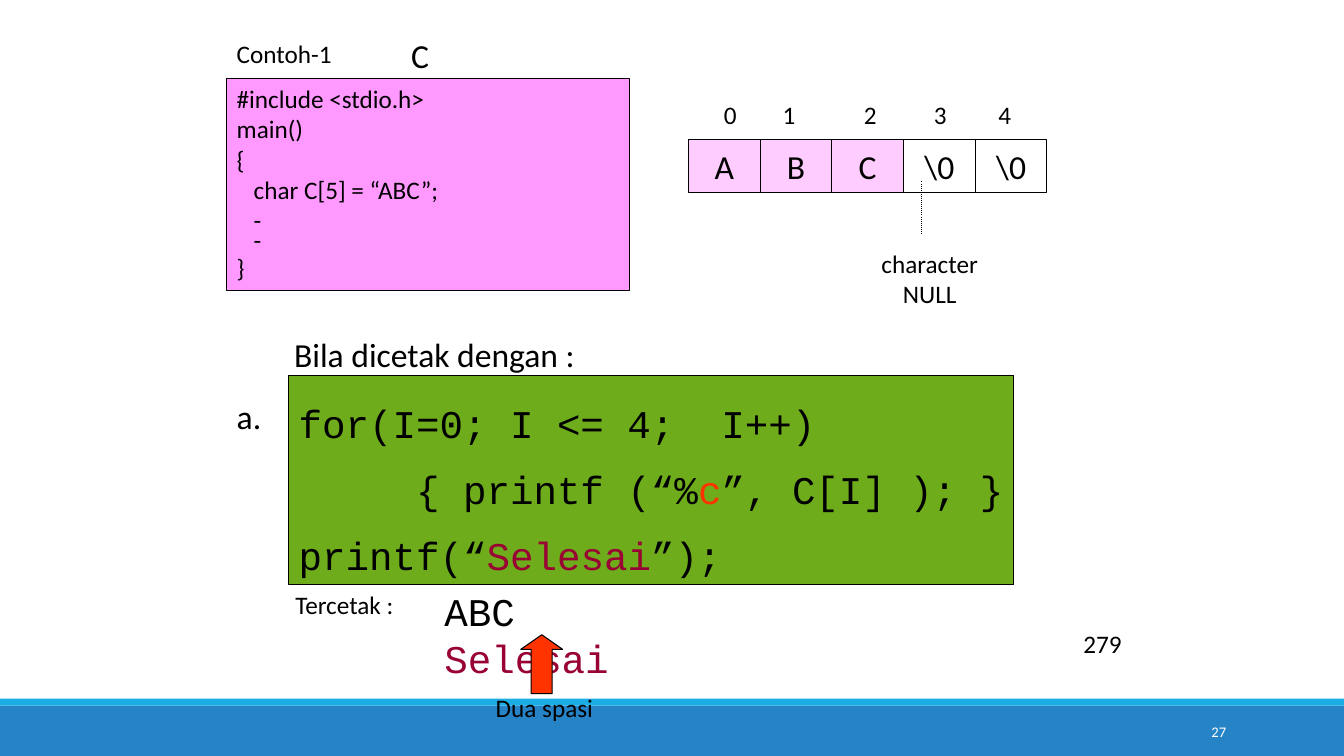
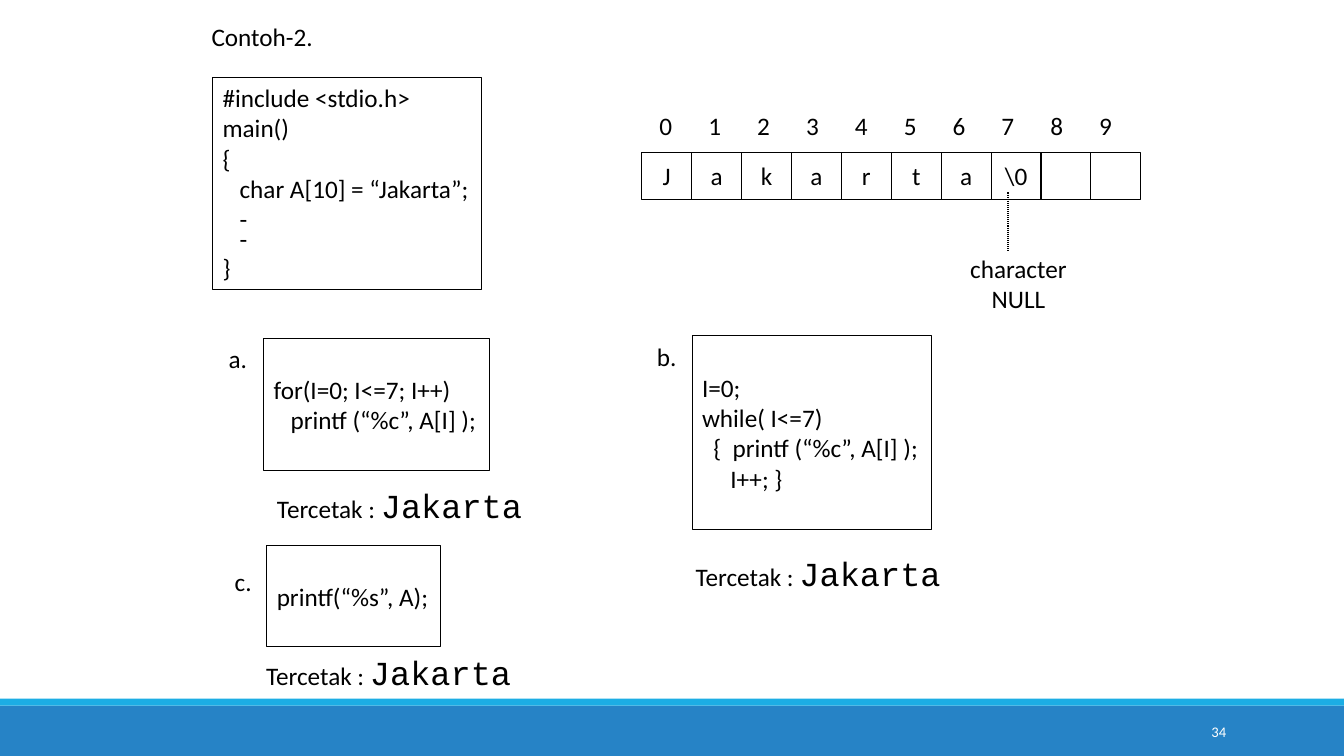
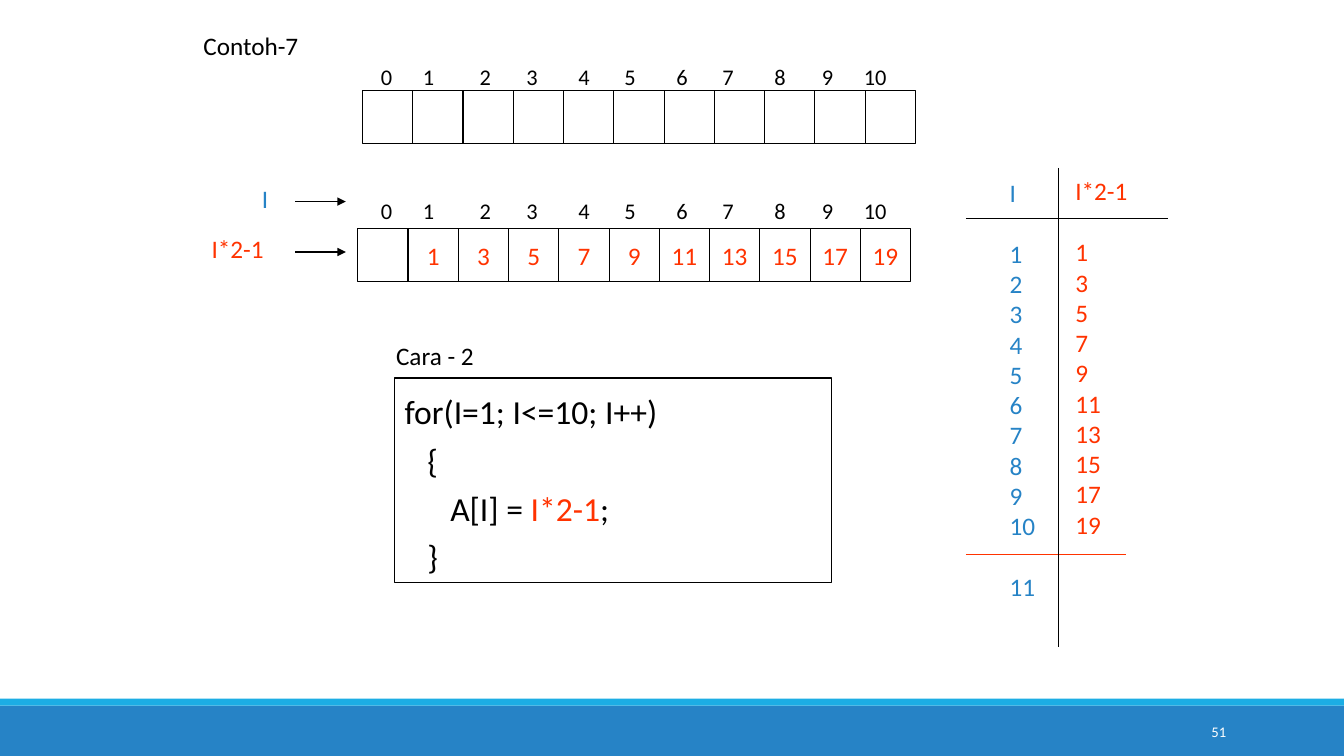
import dataclasses

import lxml.etree
import pptx
import pptx.dml.color
import pptx.enum.dml
import pptx.enum.shapes
import pptx.enum.text
import pptx.oxml.ns
import pptx.util

Pt = pptx.util.Pt
RGB = pptx.dml.color.RGBColor.from_string
ALIGN = pptx.enum.text.PP_ALIGN
ANCHOR = pptx.enum.text.MSO_ANCHOR
PRESET = pptx.enum.shapes.MSO_SHAPE
qn = pptx.oxml.ns.qn


@dataclasses.dataclass(frozen=True)
class Theme:
    ink: str = "000000"
    white: str = "FFFFFF"
    blue: str = "2683C6"
    cyan: str = "1CADE4"
    pink: str = "FF99FF"
    pale_pink: str = "FFCCFF"
    green: str = "6EAC1C"
    red: str = "FF3300"
    maroon: str = "990033"
    body_font: str = "Calibri"
    code_font: str = "Courier New"
    page_size: float = 10.5
    index_size: float = 16
    body_size: float = 18
    large_size: float = 24
    code_size: float = 28
    hairline: float = 0.75


theme = Theme()


def write(slide, text, left, top, width, height, *, size=theme.body_size,
          font=theme.body_font, color=theme.ink, align=ALIGN.LEFT, anchor=ANCHOR.TOP,
          wrap=False, preset=None, fill=None, outline=True, leading=None, before=None,
          tabs=()):
    """Put text in a text box, or in a preset shape.

    text is a string of lines, or a list of paragraphs made of (text, format) runs.
    leading and before map a paragraph number to line spacing and space before.
    """
    box = [Pt(length) for length in (left, top, width, height)]
    if preset is None:
        shape = slide.shapes.add_textbox(*box)
    else:
        shape = slide.shapes.add_shape(preset, *box)
        shape.shadow.inherit = False
        if fill:
            shape.fill.solid()
            shape.fill.fore_color.rgb = RGB(fill)
        else:
            shape.fill.background()
        if outline:
            shape.line.color.rgb = RGB(theme.ink)
            shape.line.width = Pt(theme.hairline)
        else:
            shape.line.fill.background()
    frame = shape.text_frame
    frame.word_wrap = wrap
    frame.vertical_anchor = anchor
    lines = text.split("\n") if isinstance(text, str) else text
    for number, line in enumerate(lines):
        paragraph = frame.add_paragraph() if number else frame.paragraphs[0]
        paragraph.alignment = align
        if leading and number in leading:
            paragraph.line_spacing = leading[number]
        if before and number in before:
            paragraph.space_before = Pt(before[number])
        if tabs:
            properties = paragraph._p.get_or_add_pPr()
            stops = lxml.etree.SubElement(properties, qn("a:tabLst"))
            for position in tabs:
                lxml.etree.SubElement(stops, qn("a:tab"), pos=str(Pt(position)), algn="l")
        for words, style in [(line, {})] if isinstance(line, str) else line:
            if words:
                run = paragraph.add_run()
                run.text = words
                run.font.name = style.get("font", font)
                run.font.size = Pt(style.get("size", size))
                run.font.color.rgb = RGB(style.get("color", color))
    return shape


def draw_line(slide, x1, y1, x2, y2, *, color=theme.ink, dotted=False, arrow=False):
    line = slide.shapes.add_connector(
        pptx.enum.shapes.MSO_CONNECTOR.STRAIGHT, Pt(x1), Pt(y1), Pt(x2), Pt(y2))
    line.line.color.rgb = RGB(color)
    line.line.width = Pt(theme.hairline)
    if dotted:
        line.line.dash_style = pptx.enum.dml.MSO_LINE.ROUND_DOT
    properties = line.element.spPr
    if arrow:
        lxml.etree.SubElement(properties.find(qn("a:ln")), qn("a:tailEnd"), type="triangle")
    lxml.etree.SubElement(properties, qn("a:effectLst"))


prs = pptx.Presentation()
prs.slide_width, prs.slide_height = Pt(960), Pt(540)
blank = prs.slide_layouts[6]
example_1, example_2, example_7 = [prs.slides.add_slide(blank) for _ in range(3)]

# Footer bands, moved to the master
master_tree = prs.slide_master.element.cSld.spTree
for place, (top, height, color) in enumerate([(504, 36, theme.blue), (499, 5, theme.cyan)]):
    band = write(example_1, "", 0, top, 960, height, preset=PRESET.RECTANGLE,
                 fill=color, outline=False)
    band.element.nvSpPr.cNvPr.set("id", str(100 + place))
    master_tree.insert(2 + place, band.element)

# Page numbers
for slide, page in [(example_1, "27"), (example_2, "34"), (example_7, "51")]:
    write(slide, page, 780, 508.5, 103, 28.8, size=theme.page_size, color=theme.white,
          align=ALIGN.RIGHT, anchor=ANCHOR.MIDDLE, wrap=True)

# Arrays: a row of cells
odd_numbers = [str(2 * i - 1) for i in range(1, 11)]
arrays = [
    (example_1, ["A", "B", "C", "\\0", "\\0"], 491.8, 99.4, 51.2, 38,
     theme.large_size, theme.ink, 3),
    (example_2, [*"Jakarta", "\\0", "", ""], 458.4, 108.7, 35.65, 33.7,
     theme.body_size, theme.ink, 0),
    (example_7, [""] * 11, 259, 64.8, 35.9, 37.5, theme.body_size, theme.ink, 0),
    (example_7, ["", *odd_numbers], 255.6, 163.4, 35.9, 37.4, theme.body_size, theme.red, 0),
]
for slide, values, left, top, pitch, height, size, color, shaded in arrays:
    for i, value in enumerate(values):
        write(slide, value, left + i * pitch, top, pitch, height, size=size, color=color,
              align=ALIGN.CENTER, anchor=ANCHOR.MIDDLE, preset=PRESET.RECTANGLE,
              fill=theme.pale_pink if i < shaded else None)

# Arrays: the index numbers above the cells
tabs_7 = [30, 70.5, 104, 141, 174, 211, 244, 281, 315, 345]
index_rows = [
    (example_1, 510, 67.7, theme.body_size, [42, 100, 150, 196]),
    (example_2, 464, 75, theme.body_size, [34.9 * i for i in range(1, 10)]),
    (example_7, 265, 41.3, theme.index_size, tabs_7),
    (example_7, 265, 137.1, theme.index_size, tabs_7),
]
for slide, left, top, size, tabs in index_rows:
    indexes = "\t".join(str(i) for i in range(len(tabs) + 1))
    write(slide, indexes, left, top, tabs[-1] + 45, 28.8, size=size, wrap=True, tabs=tabs)

# Declarations and the NULL mark under the array
declarations = [
    (example_1, "char C[5] = “ABC”;", 162, 56, 288, theme.pink, True),
    (example_2, "char A[10] = “Jakarta”;", 151.9, 55.4, 192.2, None, False),
]
for slide, declaration, left, top, width, fill, wrap in declarations:
    write(slide, f"#include <stdio.h>\nmain()\n{{\n   {declaration}\n   -\n   -\n}}",
          left, top, width, 151.2, preset=PRESET.RECTANGLE, fill=fill, wrap=wrap,
          leading={5: 0.6})

for slide, x, top, bottom, left, label_top in [
        (example_1, 658, 129.6, 167.8, 622, 173.8),
        (example_2, 720, 137.5, 180, 685.4, 177.4)]:
    draw_line(slide, x, top, x, bottom, dotted=True)
    write(slide, "character\nNULL", left, label_top, 84.2, 51, align=ALIGN.CENTER)

# Example 1: labels
for label, left, top, width, size in [
        ("Contoh-1", 162, 23.8, 82.8, theme.body_size),
        ("C", 286.6, 21.6, 27.4, theme.large_size),
        ("Bila dicetak dengan :", 203, 234.7, 216.7, theme.large_size),
        ("a.", 162, 279.4, 32.4, theme.large_size),
        ("Tercetak :", 203.8, 417.6, 85.7, theme.body_size),
        ("279", 766.8, 445.3, 42.5, theme.body_size)]:
    write(example_1, label, left, top, width, size * 1.2 + 7.2, size=size)

# Example 1: printing loop and its output
loop_code = [
    "for(I=0; I <= 4;  I++)",
    [("     { printf (“%", {}), ("c", {"color": theme.red}), ("”, C[I] ); }", {})],
    [("printf(“", {}), ("Selesai", {"color": theme.maroon}), ("”);", {})],
]
write(example_1, loop_code, 206.3, 268.4, 517.7, 149, size=theme.code_size,
      font=theme.code_font, preset=PRESET.RECTANGLE, fill=theme.green,
      leading=dict.fromkeys(range(3), 1.4))
write(example_1, [[("ABC  ", {}), ("Selesai", {"color": theme.maroon})]],
      310.3, 416.2, 215, 41, size=theme.code_size, font=theme.code_font, wrap=True)
space_arrow = write(example_1, "", 372, 453.4, 30, 42, preset=PRESET.UP_ARROW, fill=theme.red)
space_arrow.adjustments[0] = 0.5
space_arrow.adjustments[1] = 0.35
write(example_1, "Dua spasi", 347, 491, 85, 28.8)

# Example 2: three ways to print, each with its output
write(example_2, "Contoh-2.", 144, 12, 90, 28.8)
ways = [
    ("a.", 156.2, 242, "for(I=0; I<=7; I++)\n   printf (“%c”, A[I] );",
     (188.4, 241.9, 161.3, 94.5), 190.8, 342.7),
    ("b.", 462.2, 240.5, "I=0;\nwhile( I<=7)\n  {  printf (“%c”, A[I] );\n     I++; }",
     (494.4, 240, 171.2, 138), 489.8, 391.7),
    ("c.", 160.6, 401, "printf(“%s”, A);", (190.6, 389.6, 124.4, 72.4), 183, 462.2),
]
for letter, left, top, code, box, output_left, output_top in ways:
    write(example_2, letter, left, top, 36, 28.8, wrap=True)
    write(example_2, code, *box, preset=PRESET.RECTANGLE, anchor=ANCHOR.MIDDLE)
    output = ("Jakarta", {"font": theme.code_font, "size": theme.large_size})
    write(example_2, [[("Tercetak : ", {}), output]], output_left, output_top, 191.5, 36)

# Example 7: labels and arrows to the array
for label, left, top, width, color in [
        ("Contoh-7", 138.2, 18, 82.8, theme.ink),
        ("Cara - 2", 275.8, 239.8, 70.6, theme.ink),
        ("I", 180, 127.4, 19.4, theme.blue),
        ("I*2-1", 144, 163.4, 51.8, theme.red)]:
    write(example_7, label, left, top, width, 28.8, color=color)
for y in (144, 180):
    draw_line(example_7, 211, y, 247, y, arrow=True)

# Example 7: filling loop
filling_code = [
    "for(I=1; I<=10; I++)",
    "   {",
    [("      A[I] = ", {}), ("I*2-1", {"color": theme.red}), (";", {})],
    "   }",
]
write(example_7, filling_code, 282, 270, 312, 146, size=theme.large_size, wrap=True,
      preset=PRESET.RECTANGLE, leading=dict.fromkeys(range(4), 1.2))

# Example 7: trace of I and I*2-1
counters = "\n".join(["I", *(str(i) for i in range(1, 12))])
write(example_7, counters, 714.2, 123.1, 33.1, 312.5, color=theme.blue,
      before={1: 22, 11: 22})
write(example_7, "I*2-1", 761, 121.7, 51.8, 28.8, color=theme.red)
write(example_7, "\n".join(odd_numbers), 761, 165.6, 33.1, 225.4, color=theme.red)
draw_line(example_7, 690, 156, 834, 156)
draw_line(example_7, 690, 396, 804, 396, color=theme.red)
draw_line(example_7, 756, 120, 756, 462)

prs.save("out.pptx")
